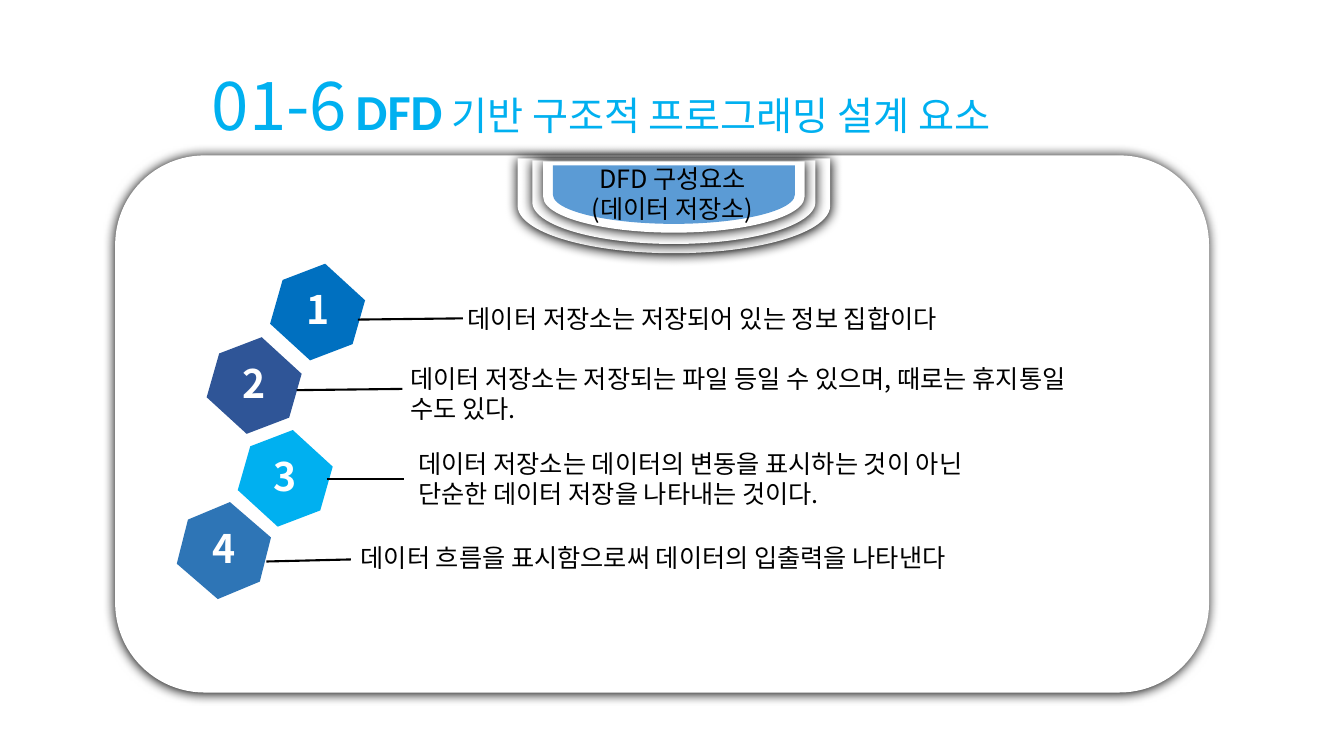
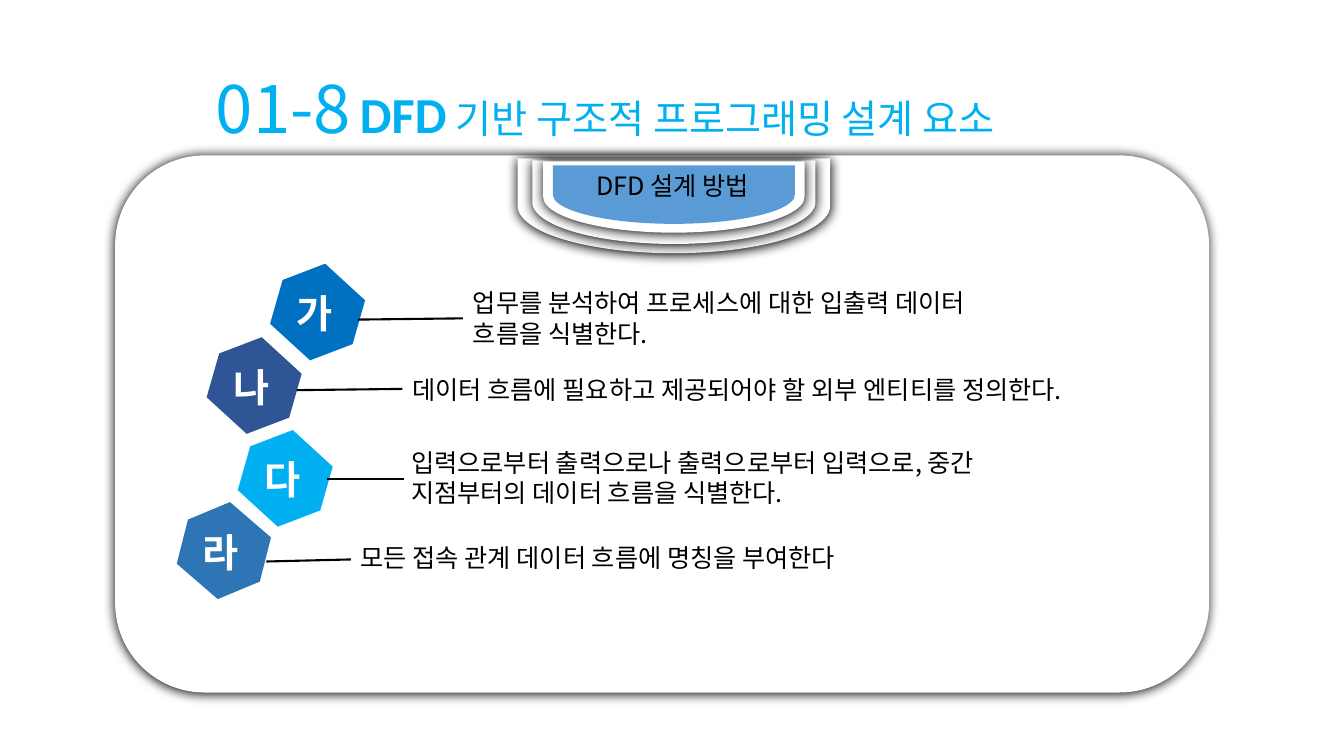
from collections import namedtuple

from lxml.etree import SubElement
from pptx import Presentation
from pptx.dml.color import RGBColor
from pptx.enum.shapes import MSO_CONNECTOR, MSO_SHAPE
from pptx.enum.text import MSO_ANCHOR, MSO_AUTO_SIZE, PP_ALIGN
from pptx.oxml.ns import qn
from pptx.util import Inches, Pt

SLIDE_WIDTH, SLIDE_HEIGHT = Inches(13.33), Inches(7.5)
GRID_ROWS = 18
CELL = SLIDE_HEIGHT / GRID_ROWS

BLACK = RGBColor(0x00, 0x00, 0x00)
WHITE = RGBColor(0xFF, 0xFF, 0xFF)
SKY = RGBColor(0x00, 0xB0, 0xF0)
BLUE = RGBColor(0x00, 0x70, 0xC0)
NAVY = RGBColor(0x2F, 0x55, 0x97)
STEEL = RGBColor(0x2E, 0x75, 0xB6)
BADGE_BLUE = RGBColor(0x5B, 0x9B, 0xD5)

KOREAN_FONT = "Noto Sans CJK KR"
LATIN_FONT = "Calibri"

HEXAGON_WIDTH, HEXAGON_HEIGHT = 2.26, 1.94
TEXT_HEIGHT = 1.7
BADGE_CENTRE = 16.04

Step = namedtuple("Step", "left top turn color line_start line_end")
Item = namedtuple("Item", "label left middle width text")
Layer = namedtuple("Layer", "top depth breadth color shadow")
Page = namedtuple("Page", "number title_at badge badge_middle label_shift items")

STEPS = [
    Step(6.43, 6.46, 42.5, BLUE, (8.52, 7.61), (11.02, 7.58)),
    Step(4.92, 8.21, 42.5, NAVY, (7.06, 9.29), (9.58, 9.26)),
    Step(5.66, 10.42, 42.5, SKY, (7.78, 11.4), (9.62, 11.4)),
    Step(4.2, 12.14, 40.8, STEEL, (6.34, 13.37), (8.35, 13.32)),
]

BADGE_LAYERS = [
    Layer(3.77, 2.26, 7.44, WHITE, True),
    Layer(3.82, 1.99, 6.74, WHITE, True),
    Layer(3.84, 1.7, 6.22, WHITE, True),
    Layer(3.94, 1.39, 5.76, BADGE_BLUE, False),
]

PAGES = [
    Page("01-6", (4.8, 1.39), "DFD 구성요소(데이터 저장소)", 4.6, (0, -0.07), [
        Item("1", 10.9, 7.58, 13.06, "데이터 저장소는 저장되어 있는 정보 집합이다"),
        Item("2", 9.53, 9.37, 16.44,
             "데이터 저장소는 저장되는 파일 등일 수 있으며, 때로는 휴지통일 수도 있다."),
        Item("3", 9.72, 11.39, 15.12,
             "데이터 저장소는 데이터의 변동을 표시하는 것이 아닌 단순한 데이터 저장을 나타내는 것이다."),
        Item("4", 8.35, 13.27, 17.18,
             "데이터 흐름을 표시함으로써 데이터의 입출력을 나타낸다"),
    ]),
    Page("01-8", (4.9, 1.46), "DFD 설계 방법", 4.42, (-0.07, 0.02), [
        Item("가", 11.02, 7.57, 13.06,
             "업무를 분석하여 프로세스에 대한 입출력 데이터 흐름을 식별한다."),
        Item("나", 9.58, 9.26, 17.76,
             "데이터 흐름에 필요하고 제공되어야 할 외부 엔티티를 정의한다."),
        Item("다", 9.55, 11.36, 14.52,
             "입력으로부터 출력으로나 출력으로부터 입력으로, 중간 지점부터의 데이터 흐름을 식별한다."),
        Item("라", 8.35, 13.27, 17.18, "모든 접속 관계 데이터 흐름에 명칭을 부여한다"),
    ]),
]


def cells(*counts):
    """Turn counts of grid cells into slide lengths."""
    return [round(count * CELL) for count in counts]


def set_font(font, size, name=KOREAN_FONT, color=None, bold=False):
    """Set size, weight, colour and both typefaces of a font."""
    font.size, font.bold, font.name = Pt(size), bold, name
    if color is not None:
        font.color.rgb = color
    SubElement(font._rPr, qn("a:ea"), typeface=KOREAN_FONT)


def add_shadow(shape):
    """Give a shape a soft black shadow below it."""
    effects = shape._element.spPr.find(qn("a:effectLst"))
    shadow = SubElement(effects, qn("a:outerShdw"), blurRad=str(Pt(8.5)),
                        dist=str(Pt(1)), dir="5400000", rotWithShape="0")
    SubElement(shadow, qn("a:srgbClr"), val=str(BLACK))


def add_plain_shape(shapes, kind, box, color, turn=0, shadow=False):
    """Add a filled shape without outline, turned by some degrees."""
    shape = shapes.add_shape(kind, *cells(*box))
    shape.rotation = turn
    shape.fill.solid()
    shape.fill.fore_color.rgb = color
    shape.line.fill.background()
    shape.shadow.inherit = False
    if shadow:
        add_shadow(shape)


def add_text(shapes, box, text, size, color, bold=False, align=PP_ALIGN.LEFT):
    """Add a wrapped text box that is centred vertically."""
    frame = shapes.add_textbox(*cells(*box)).text_frame
    frame.word_wrap = True
    frame.vertical_anchor = MSO_ANCHOR.MIDDLE
    paragraph = frame.paragraphs[0]
    paragraph.text = text
    paragraph.alignment = align
    set_font(paragraph.font, size, color=color, bold=bold)


def add_line(shapes, start, end):
    """Add a thin black line between two grid points."""
    line = shapes.add_connector(MSO_CONNECTOR.STRAIGHT, *cells(*start, *end))
    line.line.color.rgb = BLACK
    line.line.width = Pt(1.5)
    SubElement(line._element.spPr, qn("a:effectLst"))


def fill_title(title, page):
    """Place the title and write its number and heading."""
    title.left, title.top, title.width, title.height = cells(*page.title_at, 22.4, 2.18)
    frame = title.text_frame
    frame.word_wrap = True
    frame.auto_size = MSO_AUTO_SIZE.NONE
    frame.vertical_anchor = MSO_ANCHOR.TOP
    paragraph = frame.paragraphs[0]
    paragraph.alignment = PP_ALIGN.LEFT
    for text, size, name, bold in [
        (page.number, 48, KOREAN_FONT, False),
        (" ", 28, KOREAN_FONT, False),
        ("DFD", 36, LATIN_FONT, True),
        (" 기반 구조적 프로그래밍 설계 요소", 28, KOREAN_FONT, False),
    ]:
        run = paragraph.add_run()
        run.text = text
        set_font(run.font, size, name, SKY, bold)


def add_step(slide, step, item, label_shift):
    """Add a numbered hexagon with its line and text as one group."""
    shapes = slide.shapes.add_group_shape().shapes
    size = (HEXAGON_WIDTH, HEXAGON_HEIGHT)
    shift_x, shift_y = label_shift
    add_plain_shape(shapes, MSO_SHAPE.HEXAGON, (step.left, step.top, *size),
                    step.color, step.turn)
    add_text(shapes, (step.left + shift_x, step.top + shift_y, *size),
             item.label, 28, WHITE, True, PP_ALIGN.CENTER)
    add_line(shapes, step.line_start, step.line_end)
    add_text(shapes, (item.left, item.middle - TEXT_HEIGHT / 2, item.width, TEXT_HEIGHT),
             item.text, 18, BLACK)


def add_badge(slide, text, middle):
    """Add the layered badge at the top of the panel."""
    for layer in BADGE_LAYERS:
        box = (BADGE_CENTRE - layer.depth / 2,
               layer.top + (layer.depth - layer.breadth) / 2,
               layer.depth, layer.breadth)
        add_plain_shape(slide.shapes, MSO_SHAPE.FLOWCHART_DELAY, box,
                        layer.color, 90, layer.shadow)
    add_text(slide.shapes, (13.51, middle - TEXT_HEIGHT / 2, 5, TEXT_HEIGHT),
             text, 18, BLACK, align=PP_ALIGN.CENTER)


def add_page(presentation, page):
    """Build one slide with title, panel, steps and badge."""
    slide = presentation.slides.add_slide(presentation.slide_layouts[5])
    fill_title(slide.shapes.title, page)
    add_plain_shape(slide.shapes, MSO_SHAPE.ROUNDED_RECTANGLE,
                    (2.74, 3.7, 26.04, 12.79), WHITE, shadow=True)
    for step, item in zip(STEPS, page.items):
        add_step(slide, step, item, page.label_shift)
    add_badge(slide, page.badge, page.badge_middle)


def main():
    """Build and save the presentation."""
    presentation = Presentation()
    presentation.slide_width, presentation.slide_height = SLIDE_WIDTH, SLIDE_HEIGHT
    for page in PAGES:
        add_page(presentation, page)
    presentation.save("out.pptx")


if __name__ == "__main__":
    main()
